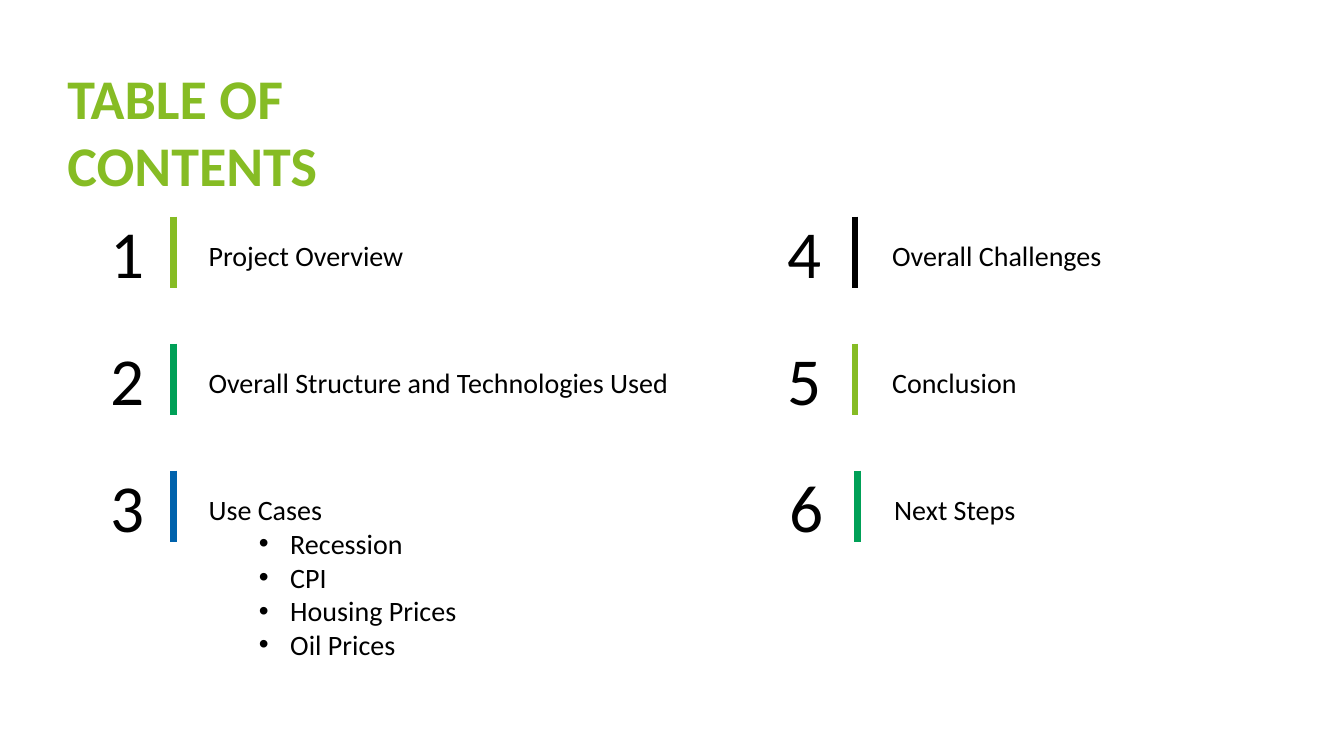
from dataclasses import dataclass

from lxml.etree import SubElement
from pptx import Presentation
from pptx.dml.color import RGBColor
from pptx.enum.shapes import MSO_CONNECTOR as Connector
from pptx.enum.text import MSO_AUTO_SIZE as AutoSize
from pptx.oxml.ns import qn
from pptx.util import Inches, Pt

LIME = RGBColor(0x86, 0xBC, 0x24)
GREEN = RGBColor(0x00, 0xA0, 0x57)
BLUE = RGBColor(0x00, 0x62, 0xAC)
BLACK = RGBColor(0x00, 0x00, 0x00)

ROWS = 3
FIRST_TOP = 2.05
ROW_STEP = 1.26
COLUMNS = [  # left edges of number, bar and label
    (1, 1.72, 1.97),
    (7.71, 8.48, 8.75),
]
ENTRIES = [  # label, bar colour, label width, sub-items, shift to the right
    ("Project Overview", LIME, 2.15, [], 0),
    ("Overall Structure and Technologies Used", GREEN, 4.85, [], 0),
    ("Use Cases", BLUE, 2.69, ["Recession", "CPI", "Housing Prices", "Oil Prices"], 0),
    ("Overall Challenges", BLACK, 3.15, [], 0),
    ("Conclusion", LIME, 1.45, [], 0),
    ("Next Steps", GREEN, 1.42, [], 0.02),
]


def write(para, text, *, size, color=BLACK, bold=False, font="Calibri", bullet=False):
    """Fill a paragraph; a newline in the text becomes a line break."""
    if bullet:
        properties = para._p.get_or_add_pPr()
        properties.set("lvl", "1")
        properties.set("marL", str(Inches(0.81)))
        properties.set("indent", str(Inches(-0.31)))
        SubElement(properties, qn("a:buFont"), typeface="Arial")
        SubElement(properties, qn("a:buChar"), char="•")
    for index, line in enumerate(text.split("\n")):
        if index:
            para.add_line_break()
        span = para.add_run()
        span.text = line
        span.font.name = font
        span.font.size = Pt(size)
        span.font.bold = bold
        span.font.color.rgb = color


@dataclass
class ContentsPage:
    page: object
    number_size: int = 48
    label_size: int = 20
    title_size: int = 40
    bar_width: int = 5

    def text(self, shapes, left, top, width, height, text, *, items=(), **style):
        box = shapes.add_textbox(Inches(left), Inches(top), Inches(width), Inches(height))
        frame = box.text_frame
        frame.word_wrap = True
        frame.auto_size = AutoSize.SHAPE_TO_FIT_TEXT
        write(frame.paragraphs[0], text, **style)
        for item in items:
            write(frame.add_paragraph(), item, bullet=True, **style)

    def bar(self, shapes, left, top, length, color):
        bar = shapes.add_connector(Connector.STRAIGHT, Inches(left), Inches(top),
                                   Inches(left), Inches(top + length))
        bar.line.color.rgb = color
        bar.line.width = Pt(self.bar_width)
        SubElement(bar._element.spPr, qn("a:effectLst"))

    def title(self, text):
        self.text(self.page.shapes, 0.57, 0.58, 4.79, 1.45, text,
                  size=self.title_size, color=LIME, bold=True)

    def entry(self, index, label, color, width, items, shift):
        column, row = divmod(index, ROWS)
        number_left, bar_left, label_left = (left + shift for left in COLUMNS[column])
        top = FIRST_TOP + row * ROW_STEP
        shapes = self.page.shapes.add_group_shape().shapes
        self.text(shapes, number_left, top, 0.54, 0.91, str(index + 1), size=self.number_size)
        self.text(shapes, label_left, top + 0.27, width, 0.44 + 0.33 * len(items), label,
                  items=items, size=self.label_size)
        self.bar(shapes, bar_left, top + 0.1, 0.71, color)


def main():
    deck = Presentation()
    deck.slide_width = Inches(13.33)
    deck.slide_height = Inches(7.5)
    contents = ContentsPage(deck.slides.add_slide(deck.slide_layouts[6]))
    for index, entry in enumerate(ENTRIES):
        contents.entry(index, *entry)
    contents.title("TABLE OF\nCONTENTS")
    deck.save("out.pptx")


if __name__ == "__main__":
    main()
